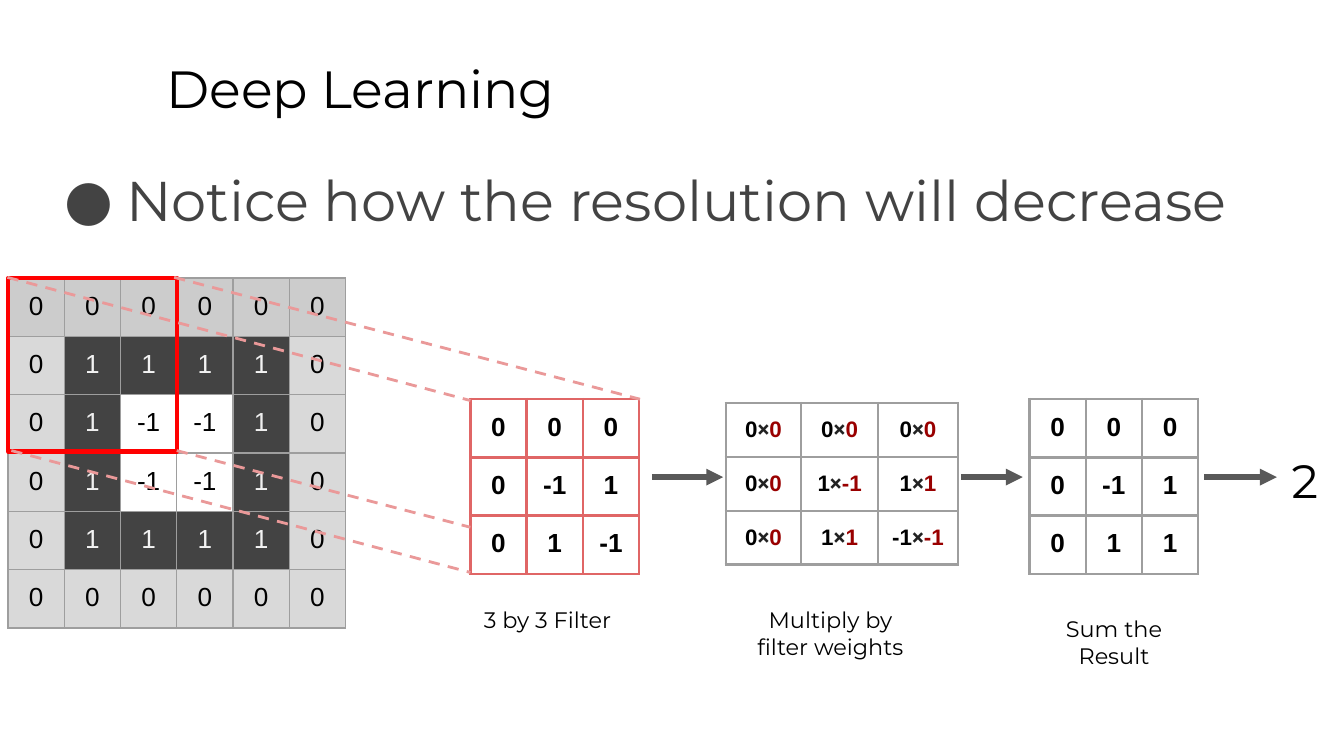
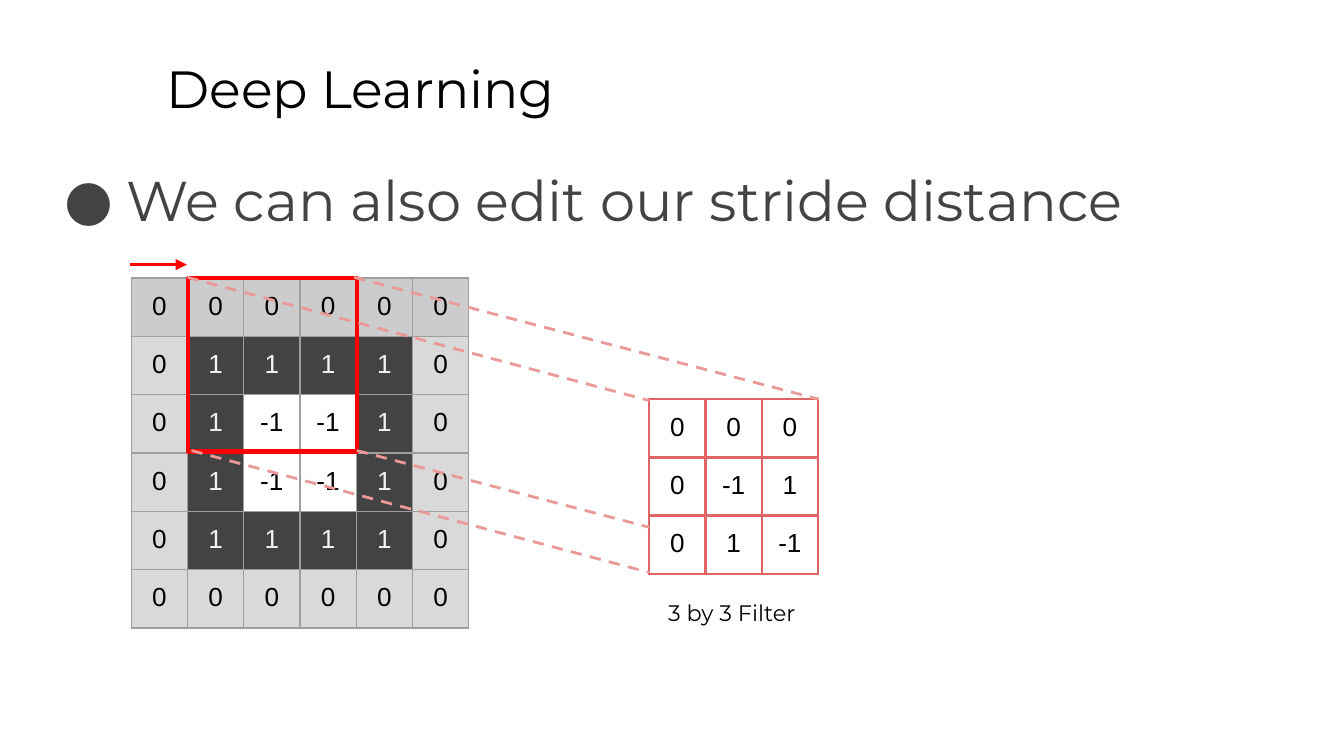
from lxml import etree
from pptx import Presentation
from pptx.dml.color import RGBColor
from pptx.enum.dml import MSO_LINE
from pptx.enum.shapes import MSO_CONNECTOR, MSO_SHAPE
from pptx.enum.text import PP_ALIGN
from pptx.oxml.ns import qn
from pptx.util import Pt

LEFT, CENTER = PP_ALIGN.LEFT, PP_ALIGN.CENTER
STRAIGHT, RECT, DASH = MSO_CONNECTOR.STRAIGHT, MSO_SHAPE.RECTANGLE, MSO_LINE.DASH

BLACK = RGBColor(0x00, 0x00, 0x00)
DARK = RGBColor(0x43, 0x43, 0x43)
ARROW = RGBColor(0x59, 0x59, 0x59)
TIMES = RGBColor(0x22, 0x22, 0x22)
GRAY = RGBColor(0x9E, 0x9E, 0x9E)
TOP_ROW = RGBColor(0xCC, 0xCC, 0xCC)
EDGE = RGBColor(0xD9, 0xD9, 0xD9)
LIGHT = RGBColor(0xF3, 0xF3, 0xF3)
LIGHT_MID = RGBColor(0xEF, 0xEF, 0xEF)
RED = RGBColor(0xFF, 0x00, 0x00)
FILTER_RED = RGBColor(0xE0, 0x66, 0x66)
PINK = RGBColor(0xEA, 0x99, 0x99)
WEIGHT = RGBColor(0x99, 0x00, 0x00)

INSET = Pt(7.2)
ROW_H = 28.8
CELL_W = 30.15
GRID_TOP = 149
FILTER_TOP = 213.8
ARROW_Y = 255.6

IMAGE = ["0 0 0 0 0 0", "0 1 1 1 1 0", "0 1 -1 -1 1 0",
         "0 1 -1 -1 1 0", "0 1 1 1 1 0", "0 0 0 0 0 0"]
FILTER = ["0 0 0", "0 -1 1", "0 1 -1"]
PRODUCT = ["0×0 0×0 0×0", "0×0 1×-1 1×1", "0×0 1×1 -1×-1"]
RESULT = ["0 0 0", "0 -1 1", "0 1 1"]

# Dashed rays: start relative to the frame's left, end relative to the filter's left
RAYS = [(89, 148.6, 90.9, 213.9), (-0.3, 148.6, 0, 214.6),
        (1.8, 241.4, 0, 306.7), (90.4, 241.4, 0, 282.5)]

SLIDES = [
    dict(bullet="Notice how the resolution will decrease",
         image_x=4.3, frame_x=4.3, filter_x=252, bold=True,
         tables=[(551.5, FILTER_TOP, [CELL_W] * 3, RESULT, 14),
                 (388.8, 216, [40.4, 41.2, 42.8], PRODUCT, 12)],
         labels=[("3 by 3 Filter", 241.5, 317.5, 103.7, 12),
                 ("Multiply by filter weights", 393.1, 317.5, 103.7, 12),
                 ("Sum the Result", 545, 322.6, 103.7, 12),
                 ("2", 681.1, 234.7, 36, 25)],
         arrows=[(349.2, 387.4, ARROW_Y, ARROW, 3),
                 (514.8, 547.9, ARROW_Y, ARROW, 3),
                 (645.1, 684, ARROW_Y, ARROW, 3)]),
    dict(bullet="We can also edit our stride distance",
         image_x=70.3, frame_x=100.8, filter_x=347.8, bold=False,
         tables=[],
         labels=[("3 by 3 Filter", 340.2, 313.9, 103.7, 12)],
         arrows=[(69.8, 100.1, 141.8, RED, 1.5)]),
]


def put_text(tf, *texts, size=14, font="Arial", color=BLACK, bold=False,
             align=CENTER, spacing=None, bullet=None):
    """Fill a text frame; each item is a string or (string, colour, font)."""
    tf.word_wrap = True
    tf.margin_left = tf.margin_right = tf.margin_top = tf.margin_bottom = INSET
    p = tf.paragraphs[0]
    p.alignment = align
    if spacing:
        p.line_spacing = spacing
    if bullet:
        pPr = p._p.get_or_add_pPr()
        pPr.set("marL", str(Pt(36)))
        pPr.set("indent", str(-Pt(33)))
        clr = etree.SubElement(pPr, qn("a:buClr"))
        etree.SubElement(clr, qn("a:srgbClr"), val=str(color))
        etree.SubElement(pPr, qn("a:buFont"), typeface=font)
        etree.SubElement(pPr, qn("a:buChar"), char=bullet)
    for item in texts:
        text, run_color, run_font = (item, color, font) if isinstance(item, str) else item
        r = p.add_run()
        r.text = text
        r.font.size, r.font.name, r.font.bold = Pt(size), run_font, bold
        r.font.color.rgb = run_color


def add_line(s, x1, y1, x2, y2, color, width, arrow=False):
    line = s.shapes.add_connector(STRAIGHT, Pt(x1), Pt(y1), Pt(x2), Pt(y2))
    line.line.color.rgb = color
    line.line.width = Pt(width)
    if arrow:
        etree.SubElement(line.line._get_or_add_ln(), qn("a:tailEnd"), type="triangle")
    else:
        line.line.dash_style = DASH
    etree.SubElement(line._element.spPr, qn("a:effectLst"))


prs = Presentation()
prs.slide_width, prs.slide_height = Pt(720), Pt(405)

for spec in SLIDES:
    s = prs.slides.add_slide(prs.slide_layouts[6])

    # Title and bullet
    tb = s.shapes.add_textbox(Pt(82.1), Pt(23), Pt(613.4), Pt(45.4))
    put_text(tb.text_frame, "Deep Learning", size=28, font="Montserrat", align=LEFT)
    tb = s.shapes.add_textbox(Pt(24.5), Pt(76.3), Pt(671), Pt(49))
    put_text(tb.text_frame, spec["bullet"], size=30, font="Montserrat", color=DARK,
             align=LEFT, spacing=1.15, bullet="●")

    # Number grids: input image, filter, then any later steps
    grids = [(spec["image_x"], GRID_TOP, [CELL_W] * 6, IMAGE, 14, False, GRAY, 0.75),
             (spec["filter_x"], FILTER_TOP, [CELL_W] * 3, FILTER, 14, spec["bold"],
              FILTER_RED, 1.5)]
    grids += [t + (True, GRAY, 1.5) for t in spec["tables"]]
    for x, y, widths, rows, size, bold, border, border_w in grids:
        table = s.shapes.add_table(len(rows), len(widths), Pt(x), Pt(y),
                                   Pt(sum(widths)), Pt(ROW_H * len(rows))).table
        table.first_row = table.horz_banding = False
        for col, width in zip(table.columns, widths):
            col.width = Pt(width)
        for i, row in enumerate(rows):
            table.rows[i].height = Pt(ROW_H)
            for j, value in enumerate(row.split()):
                cell = table.cell(i, j)
                color, fill = BLACK, None
                if rows is IMAGE and value == "1":
                    color, fill = LIGHT if i in (1, 4) else LIGHT_MID, DARK
                elif rows is IMAGE and value == "0":
                    fill = EDGE if i else TOP_ROW
                texts = [value]
                if "×" in value:
                    pixel, weight = value.split("×")
                    texts = [pixel, ("×", TIMES, "Roboto"), (weight, WEIGHT, "Arial")]
                put_text(cell.text_frame, *texts, size=size, color=color, bold=bold)
                cell.margin_left = cell.margin_right = INSET
                cell.margin_top = cell.margin_bottom = INSET
                tcPr = cell._tc.get_or_add_tcPr()
                for side in ("a:lnL", "a:lnR", "a:lnT", "a:lnB"):
                    ln = etree.SubElement(tcPr, qn(side), w=str(Pt(border_w)))
                    solid = etree.SubElement(ln, qn("a:solidFill"))
                    etree.SubElement(solid, qn("a:srgbClr"), val=str(border))
                if fill is None:
                    cell.fill.background()
                else:
                    cell.fill.solid()
                    cell.fill.fore_color.rgb = fill

    # Frame over the pixels being filtered
    frame = s.shapes.add_shape(RECT, Pt(spec["frame_x"]), Pt(GRID_TOP), Pt(90.7), Pt(92.9))
    frame.shadow.inherit = False
    frame.fill.background()
    frame.line.color.rgb = RED
    frame.line.width = Pt(2.25)

    # Rays from the frame to the filter, and step arrows
    for x1, y1, x2, y2 in RAYS:
        add_line(s, spec["frame_x"] + x1, y1, spec["filter_x"] + x2, y2, PINK, 1.5)
    for x1, x2, y, color, width in spec["arrows"]:
        add_line(s, x1, y, x2, y, color, width, arrow=True)

    # Captions and final value
    for text, x, y, width, size in spec["labels"]:
        tb = s.shapes.add_textbox(Pt(x), Pt(y), Pt(width), Pt(31))
        put_text(tb.text_frame, text, size=size, font="Montserrat")

prs.save("out.pptx")
